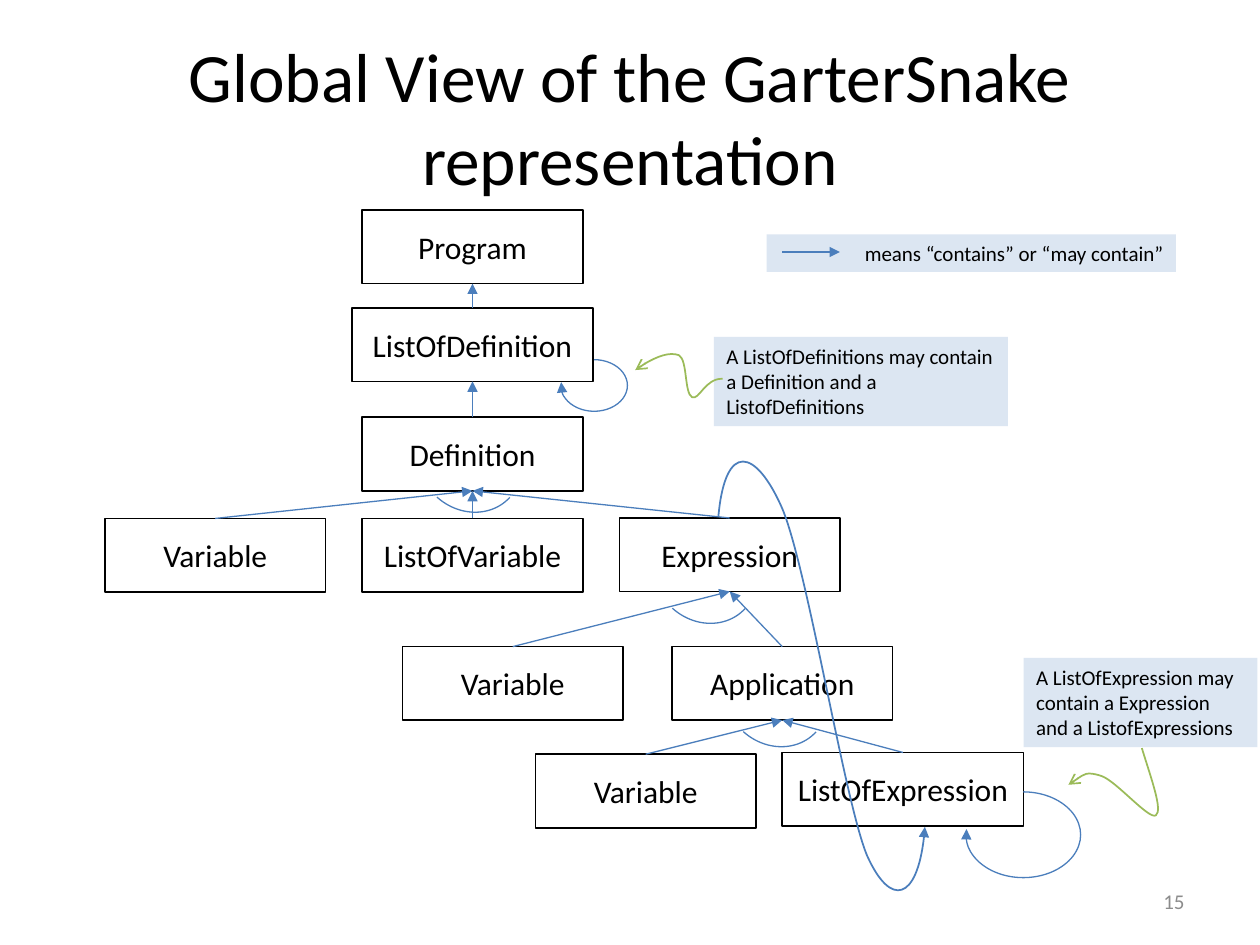
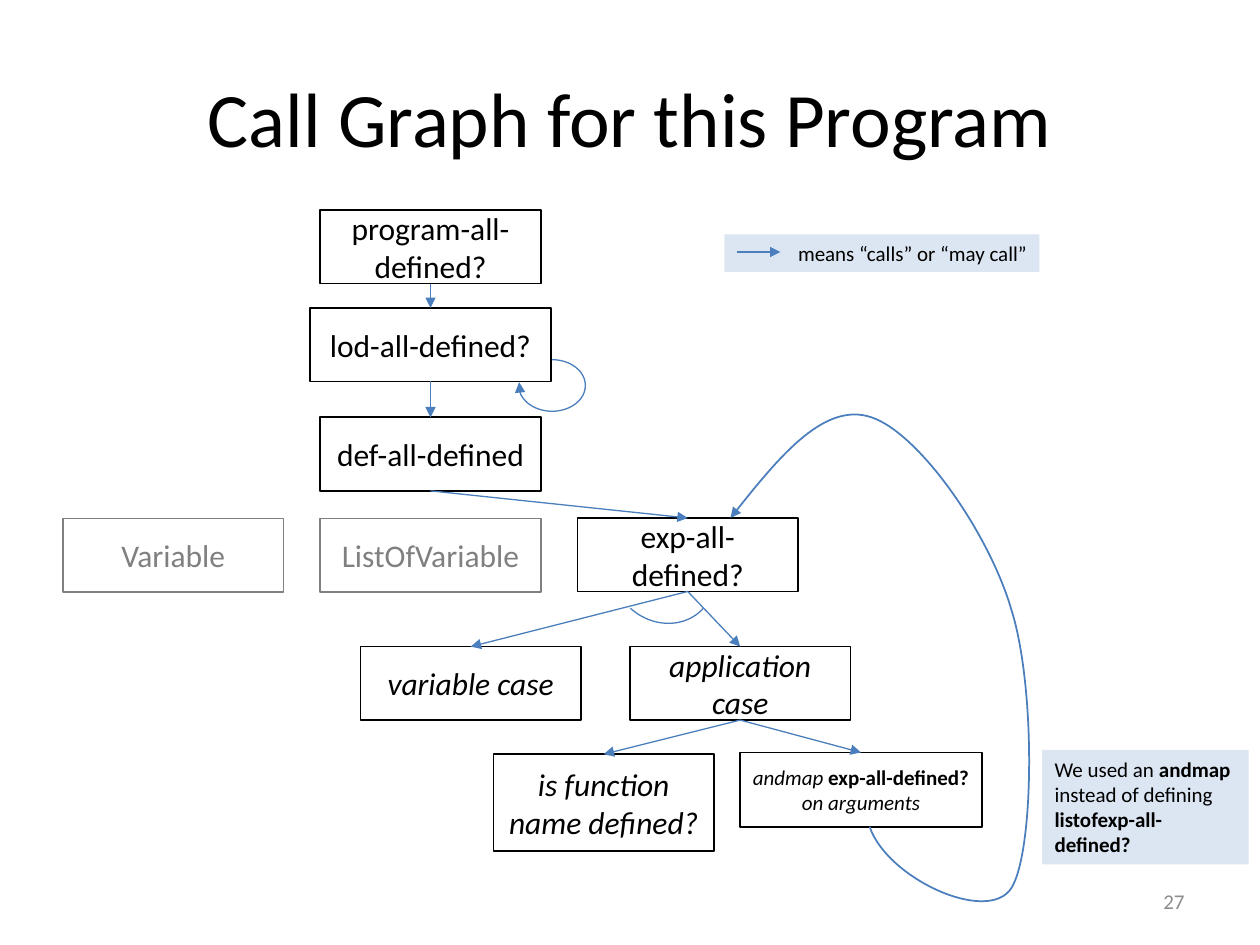
from itertools import chain

from lxml.etree import SubElement
from pptx import Presentation
from pptx.dml.color import RGBColor
from pptx.enum.shapes import MSO_CONNECTOR, MSO_SHAPE
from pptx.enum.text import MSO_ANCHOR, MSO_AUTO_SIZE, PP_ALIGN
from pptx.oxml.ns import qn
from pptx.util import Pt

COLORS = {
    "black": "000000",
    "gray": "808080",
    "number": "8C8C8C",
    "arrow": "4B7EBC",
    "pointer": "9BBB59",
    "note": "DCE6F2",
}
FONT = "Calibri"
TITLE_ONLY = 5
TOP, BOTTOM = 0, 2  # connection sites of a rectangle
ITALIC = {"italic": True}
BOLD = {"bold": True}

# Tree slots shared by both slides: left, top, width
NODE_WIDTH, NODE_HEIGHT, WIDE_NODE = 126, 42, 138
COLUMNS = [60 + step * (NODE_WIDTH + 21) for step in range(3)]
SLOTS = {
    "program": (COLUMNS[1], 120, NODE_WIDTH),
    "definitions": (COLUMNS[1] - 6, 176, WIDE_NODE),
    "definition": (COLUMNS[1], 238.5, NODE_WIDTH),
    "name": (COLUMNS[0], 296.25, NODE_WIDTH),
    "parameters": (COLUMNS[1], 296.25, NODE_WIDTH),
    "expression": (COLUMNS[2], 296, NODE_WIDTH),
    "variable": (230, 369.5, NODE_WIDTH),
    "application": (384, 369.5, NODE_WIDTH),
    "function": (306, 431, NODE_WIDTH),
    "arguments": (447, 430, WIDE_NODE),
}
CHAIN = [("program", "definitions"), ("definitions", "definition")]
DEFINITION_PARTS = [("definition", "name"), ("definition", "parameters")]
EXPRESSION_TREE = [
    ("definition", "expression"),
    ("expression", "variable"),
    ("expression", "application"),
    ("application", "function"),
    ("application", "arguments"),
]
DEFINITIONS_LOOP = (320.5, 205.5, 38, 29.5)
EXPRESSION_BRANCH = (375, 296)


class Diagram:
    """Holds the presentation, the current slide and the shared style."""

    def __init__(self):
        self.presentation = Presentation()
        self.presentation.slide_width = Pt(720)
        self.presentation.slide_height = Pt(540)

    def start(self, title, title_size, number, shift=0):
        layout = self.presentation.slide_layouts[TITLE_ONLY]
        self.slide = self.presentation.slides.add_slide(layout)
        self.shift = shift
        self.nodes = {}
        placeholder = self.slide.shapes.title
        self.place(placeholder, 36, 21.6, 648, 90)
        self.set_text(placeholder, [(title, {})], title_size, "black",
                      PP_ALIGN.CENTER, MSO_ANCHOR.MIDDLE)
        number_box = self.slide.shapes.add_textbox(*map(Pt, (516, 500.5, 168, 28.75)))
        self.set_text(number_box, [(number, {})], 12, "number",
                      PP_ALIGN.RIGHT, MSO_ANCHOR.MIDDLE)

    def place(self, shape, *box):
        for name, value in zip(("left", "top", "width", "height"), box):
            setattr(shape, name, Pt(value))

    def set_text(self, shape, runs, size, color, align, anchor,
                 auto_size=MSO_AUTO_SIZE.NONE):
        frame = shape.text_frame
        frame_format = {"word_wrap": True, "auto_size": auto_size,
                        "vertical_anchor": anchor}
        for name, value in frame_format.items():
            setattr(frame, name, value)
        paragraph = frame.paragraphs[0]
        paragraph.alignment = align
        for text, style in runs:
            run = paragraph.add_run()
            run.text = text
            font_format = {"name": FONT, "size": Pt(size), **style}
            for name, value in font_format.items():
                setattr(run.font, name, value)
            run.font.color.rgb = RGBColor.from_string(COLORS[color])

    def stroke(self, shape, color, width, arrowhead=None):
        shape.line.color.rgb = RGBColor.from_string(COLORS[color])
        shape.line.width = Pt(width)
        if arrowhead:
            outline = shape.element.spPr.find(qn("a:ln"))
            SubElement(outline, qn("a:tailEnd"), type=arrowhead)

    def node(self, key, runs, size=18, color="black", height=NODE_HEIGHT):
        left, top, width = SLOTS[key]
        shape = self.slide.shapes.add_shape(
            MSO_SHAPE.RECTANGLE, *map(Pt, (left + self.shift, top, width, height)))
        shape.shadow.inherit = False
        shape.fill.background()
        self.stroke(shape, color, 1)
        self.set_text(shape, runs, size, color, PP_ALIGN.CENTER, MSO_ANCHOR.MIDDLE)
        self.nodes[key] = shape

    def note(self, box, runs, align=PP_ALIGN.LEFT):
        shape = self.slide.shapes.add_shape(MSO_SHAPE.RECTANGLE, *map(Pt, box))
        shape.shadow.inherit = False
        shape.fill.solid()
        shape.fill.fore_color.rgb = RGBColor.from_string(COLORS["note"])
        shape.line.fill.background()
        self.set_text(shape, runs, 12, "black", align, MSO_ANCHOR.TOP,
                      MSO_AUTO_SIZE.SHAPE_TO_FIT_TEXT)

    def arrow(self, *ends):
        connector = self.slide.shapes.add_connector(
            MSO_CONNECTOR.STRAIGHT, *map(Pt, ends))
        self.stroke(connector, "arrow", 0.75, "triangle")
        SubElement(connector.element.spPr, qn("a:effectLst"))
        return connector

    def link_up(self, parent, child):
        connector = self.arrow(0, 0, 0, 0)
        connector.begin_connect(self.nodes[child], TOP)
        connector.end_connect(self.nodes[parent], BOTTOM)

    def link_down(self, parent, child):
        connector = self.arrow(0, 0, 0, 0)
        connector.begin_connect(self.nodes[parent], BOTTOM)
        connector.end_connect(self.nodes[child], TOP)

    def legend(self, text, width, arrow_start, arrow_end):
        self.note((438 + self.shift, 134, width, 21.5), [(text, {})], PP_ALIGN.RIGHT)
        self.arrow(arrow_start, 144, arrow_end, 144)

    def arc(self, left, top, width, height, arrowhead=None):
        shape = self.slide.shapes.add_shape(
            MSO_SHAPE.ARC, *map(Pt, (left + self.shift, top, width, height)))
        shape.shadow.inherit = False
        shape.fill.background()
        self.stroke(shape, "arrow", 0.75, arrowhead)
        return shape

    def loop(self, *box):
        shape = self.arc(*box, arrowhead="triangle")
        shape.adjustments[0] = 162
        shape.adjustments[1] = 111.43

    def branch(self, left, top):
        self.arc(left, top, 55.5, 62).rotation = 132

    def curve(self, start, segments, color, arrowhead):
        """Draw cubic segments, each given as two control points and an end."""
        values = list(chain.from_iterable(segments))
        points = [(Pt(x), Pt(y)) for x, y in zip(values[::2], values[1::2])]
        builder = self.slide.shapes.build_freeform(*map(Pt, start))
        builder.add_line_segments(points, close=False)
        shape = builder.convert_to_shape()
        outline = shape.element.spPr.find(".//" + qn("a:path"))
        steps = outline.findall(qn("a:lnTo"))
        for first in range(0, len(steps), 3):
            cubic = SubElement(outline, qn("a:cubicBezTo"))
            for step in steps[first:first + 3]:
                cubic.append(step[0])
                outline.remove(step)
        shape.shadow.inherit = False
        shape.fill.background()
        self.stroke(shape, color, 1, arrowhead)


def build_representation(diagram):
    diagram.start("Global View of the GarterSnake representation", 39.6, "15")

    # Data types
    labels = {
        "program": "Program",
        "definitions": "ListOfDefinition",
        "definition": "Definition",
        "name": "Variable",
        "parameters": "ListOfVariable",
        "expression": "Expression",
        "variable": "Variable",
        "application": "Application",
        "function": "Variable",
        "arguments": "ListOfExpression",
    }
    for key, label in labels.items():
        diagram.node(key, [(label, {})])
    for parent, child in CHAIN + DEFINITION_PARTS + EXPRESSION_TREE:
        diagram.link_up(parent, child)

    # Recursion and alternatives
    diagram.loop(*DEFINITIONS_LOOP)
    diagram.loop(552, 452.5, 65.5, 49)
    for corner in ((240.5, 232.5), EXPRESSION_BRANCH, (415.5, 366.5)):
        diagram.branch(*corner)
    diagram.curve((410.5, 295), [
        (414.5, 251.5, 432, 257, 446.5, 289.5),
        (461, 322, 482.5, 458, 495.5, 489),
        (509, 519, 525.5, 514, 528.5, 472.5),
    ], "arrow", "triangle")

    # Notes and their pointers
    diagram.note((408, 192.5, 168, 51), [
        ("A ListOfDefinitions may contain a Definition and a ListofDefinitions", {})])
    diagram.curve((413, 216.5), [
        (403, 216, 399.5, 229, 395.5, 227),
        (391, 224.5, 393, 206, 388, 203),
        (382.5, 201, 371.5, 205, 363, 211.5),
    ], "pointer", "arrow")
    diagram.note((585, 376, 133.5, 51), [
        ("A ListOfExpression may contain a Expression and a ListofExpressions", {})])
    diagram.curve((652.5, 427.5), [
        (658, 445.5, 664.5, 463, 660.5, 466),
        (656.5, 468.5, 638, 446.5, 629.5, 443.5),
        (620.5, 440.5, 615.5, 445, 610.5, 448.5),
    ], "pointer", "arrow")
    diagram.legend("means “contains” or “may contain”", 234, 447, 480)


def build_call_graph(diagram):
    diagram.start("Call Graph for this Program", 44, "27", shift=-24)

    # Functions, unused types and cases
    functions = {
        "program": "program-all-defined?",
        "definitions": "lod-all-defined?",
        "definition": "def-all-defined",
        "expression": "exp-all-defined?",
    }
    for key, label in functions.items():
        diagram.node(key, [(label, {})])
    for key, label in {"name": "Variable", "parameters": "ListOfVariable"}.items():
        diagram.node(key, [(label, {})], color="gray")
    for key, label in {"variable": "variable case",
                       "application": "application case"}.items():
        diagram.node(key, [(label, ITALIC)])
    diagram.node("function", [("is function name defined?", ITALIC)], height=55.5)
    diagram.node("arguments", [("andmap ", ITALIC), ("exp-all-defined?", BOLD),
                               (" on arguments", ITALIC)], size=12, height=42.5)
    for parent, child in CHAIN + EXPRESSION_TREE:
        diagram.link_down(parent, child)

    # Recursion and alternatives
    diagram.loop(*DEFINITIONS_LOOP)
    diagram.branch(*EXPRESSION_BRANCH)
    diagram.curve((497, 472.5), [
        (507, 502, 564.5, 528.5, 578, 507.5),
        (591, 486.5, 592, 393, 578, 348.5),
        (565, 304, 525, 247.5, 498, 238.5),
        (471.5, 229.5, 444, 262.5, 417.5, 296),
    ], "arrow", "triangle")

    # Note and legend
    diagram.note((595.5, 428.5, 118, 65.5), [
        ("We used an ", {}), ("andmap", BOLD), (" instead of defining ", {}),
        ("listofexp-all-defined?", BOLD)])
    diagram.legend("means “calls” or “may call”", 180, 421, 446)


def main():
    diagram = Diagram()
    build_representation(diagram)
    build_call_graph(diagram)
    diagram.presentation.save("out.pptx")


if __name__ == "__main__":
    main()
